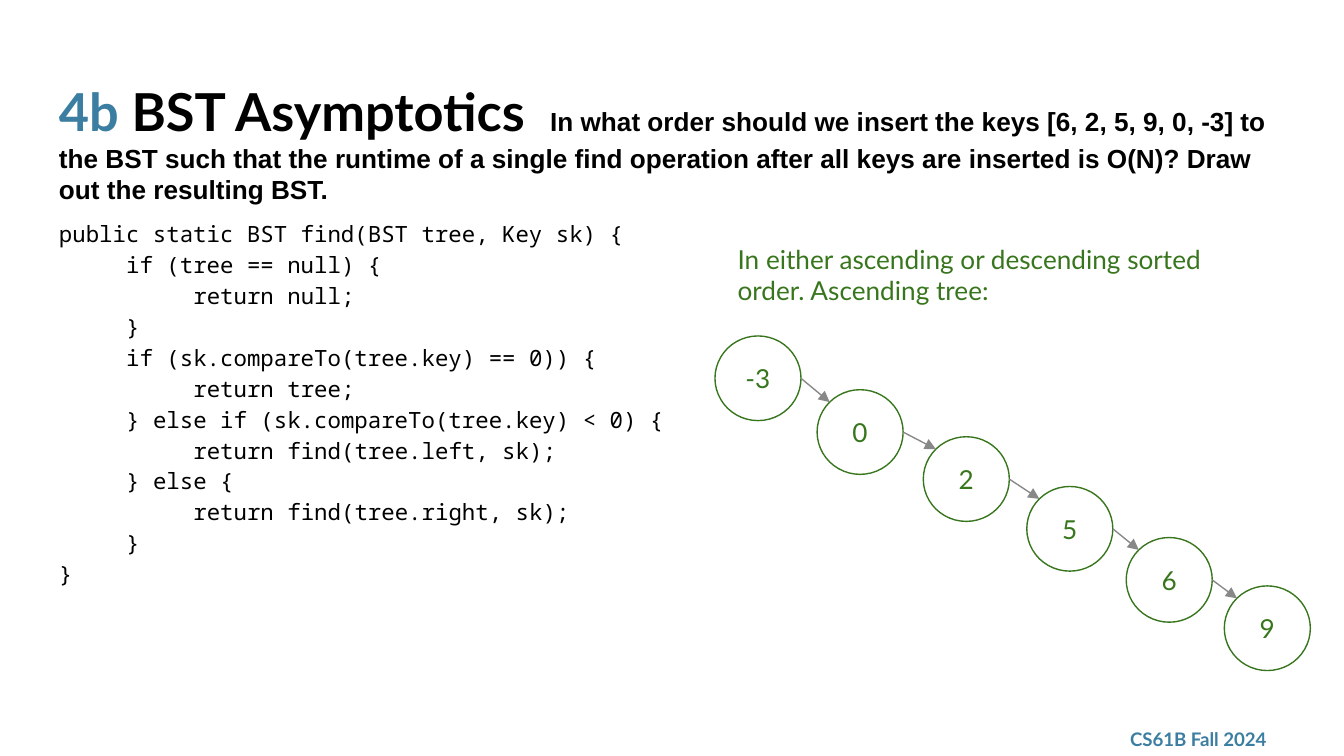
from dataclasses import dataclass
from math import sqrt
from typing import Any

from lxml.etree import SubElement
from pptx import Presentation
from pptx.dml.color import RGBColor
from pptx.enum.shapes import MSO_CONNECTOR as Link, MSO_SHAPE as Shape
from pptx.enum.text import MSO_ANCHOR as Anchor, PP_ALIGN as Align
from pptx.oxml.ns import qn
from pptx.util import Inches, Pt

HUES = {"blue": "3B7EA1", "black": "000000", "green": "38761D",
        "gray": "888888", "white": "FFFFFF"}
WIDE, HIGH = 0.64, 0.63
DIAG = (1 - 1 / sqrt(2)) / 2


@dataclass
class Style:
    name: str
    size: int
    hue: str
    bold: bool = False


@dataclass
class Run:
    text: str
    style: Style


@dataclass
class Line:
    runs: list[Run]
    depth: int = 0


@dataclass
class Node:
    key: str
    left: float
    top: float


FOOT = Style("Lato", 10, "blue", True)
MARK = Style("Lato", 28, "blue", True)
HEAD = Style("Lato", 28, "black", True)
ASK = Style("Arial", 14, "black", True)
CODE = Style("Noto Sans Mono", 12, "black")
NOTE = Style("Lato", 14, "green")

TITLE = [
    Run("4b ", MARK),
    Run("BST Asymptotics  ", HEAD),
    Run("In what order should we insert the keys [6, 2, 5, 9, 0, -3] to the BST "
        "such that the runtime of a single find operation after all keys are "
        "inserted is O(N)? Draw out the resulting BST.", ASK),
]
FIND = [
    (0, "public static BST find(BST tree, Key sk) {"),
    (1, "if (tree == null) {"),
    (2, "return null;"),
    (1, "}"),
    (1, "if (sk.compareTo(tree.key) == 0)) {"),
    (2, "return tree;"),
    (1, "} else if (sk.compareTo(tree.key) < 0) {"),
    (2, "return find(tree.left, sk);"),
    (1, "} else {"),
    (2, "return find(tree.right, sk);"),
    (1, "}"),
    (0, "}"),
]
NODES = [
    Node("-3", 5.32, 2.5), Node("0", 6.08, 2.9), Node("2", 6.87, 3.25),
    Node("5", 7.64, 3.62), Node("6", 8.38, 4), Node("9", 9.11, 4.36),
]


def color(hue: str) -> RGBColor:
    """Return the named colour."""
    return RGBColor.from_string(HUES[hue])


def apply(item: Any, form: dict[str, Any]) -> None:
    """Set each attribute in the format on the item."""
    for name, value in form.items():
        setattr(item, name, value)


def write(frame: Any, lines: list[Line], anchor: Any = Anchor.TOP,
          align: Any = Align.LEFT, space: float = 1.0) -> None:
    """Fill a text frame with styled lines."""
    pad = Inches(0.1)
    apply(frame, {"word_wrap": True, "vertical_anchor": anchor,
                  "margin_left": pad, "margin_right": pad,
                  "margin_top": pad, "margin_bottom": pad})
    for i, line in enumerate(lines):
        para = frame.add_paragraph() if i else frame.paragraphs[0]
        apply(para, {"alignment": align, "line_spacing": space})
        if line.depth:
            props = para._p.get_or_add_pPr()
            props.set("marL", str(Inches(0.5 * (line.depth - 1))))
            props.set("indent", str(Inches(0.5)))
        for part in line.runs:
            run, style = para.add_run(), part.style
            run.text = part.text
            apply(run.font, {"name": style.name, "size": Pt(style.size),
                             "bold": style.bold})
            run.font.color.rgb = color(style.hue)


def label(slide: Any, area: tuple[float, ...], lines: list[Line], **form: Any) -> None:
    """Add a text box."""
    box = slide.shapes.add_textbox(*map(Inches, area))
    write(box.text_frame, lines, **form)


def circle(slide: Any, node: Node) -> None:
    """Draw one tree node."""
    area = map(Inches, (node.left, node.top, WIDE, HIGH))
    oval = slide.shapes.add_shape(Shape.OVAL, *area)
    oval.shadow.inherit = False
    oval.fill.solid()
    oval.fill.fore_color.rgb = color("white")
    oval.line.color.rgb = color("green")
    oval.line.width = Pt(0.75)
    write(oval.text_frame, [Line([Run(node.key, NOTE)])], Anchor.MIDDLE, Align.CENTER)


def arrow(slide: Any, start: Node, end: Node) -> None:
    """Link the right side of a node to the upper left of its child."""
    ends = (start.left + WIDE, start.top + HIGH / 2,
            end.left + WIDE * DIAG, end.top + HIGH * DIAG)
    link = slide.shapes.add_connector(Link.STRAIGHT, *map(Inches, ends))
    link.line.color.rgb = color("gray")
    link.line.width = Pt(0.75)
    SubElement(link.line._get_or_add_ln(), qn("a:tailEnd"), type="triangle")
    SubElement(link._element.spPr, qn("a:effectLst"))


def main() -> None:
    """Build and save the slide."""
    deck = Presentation()
    apply(deck, {"slide_width": Inches(10), "slide_height": Inches(10 * 9 / 16)})
    slide = deck.slides.add_slide(deck.slide_layouts[6])
    label(slide, (8.31, 5.37, 1.35, 0.26), [Line([Run("CS61B Fall 2024", FOOT)])],
          anchor=Anchor.MIDDLE)
    label(slide, (0.34, 0.49, 9.32, 0.63), [Line(TITLE)])
    label(slide, (0.34, 1.51, 4.88, 3.74),
          [Line([Run(text, CODE)], depth) for depth, text in FIND], space=1.15)
    label(slide, (5.39, 1.71, 4.16, 0.67),
          [Line([Run("In either ascending or descending sorted order. "
                     "Ascending tree:", NOTE)])])
    for node in NODES:
        circle(slide, node)
    for start, end in zip(NODES, NODES[1:]):
        arrow(slide, start, end)
    deck.save("out.pptx")


if __name__ == "__main__":
    main()
